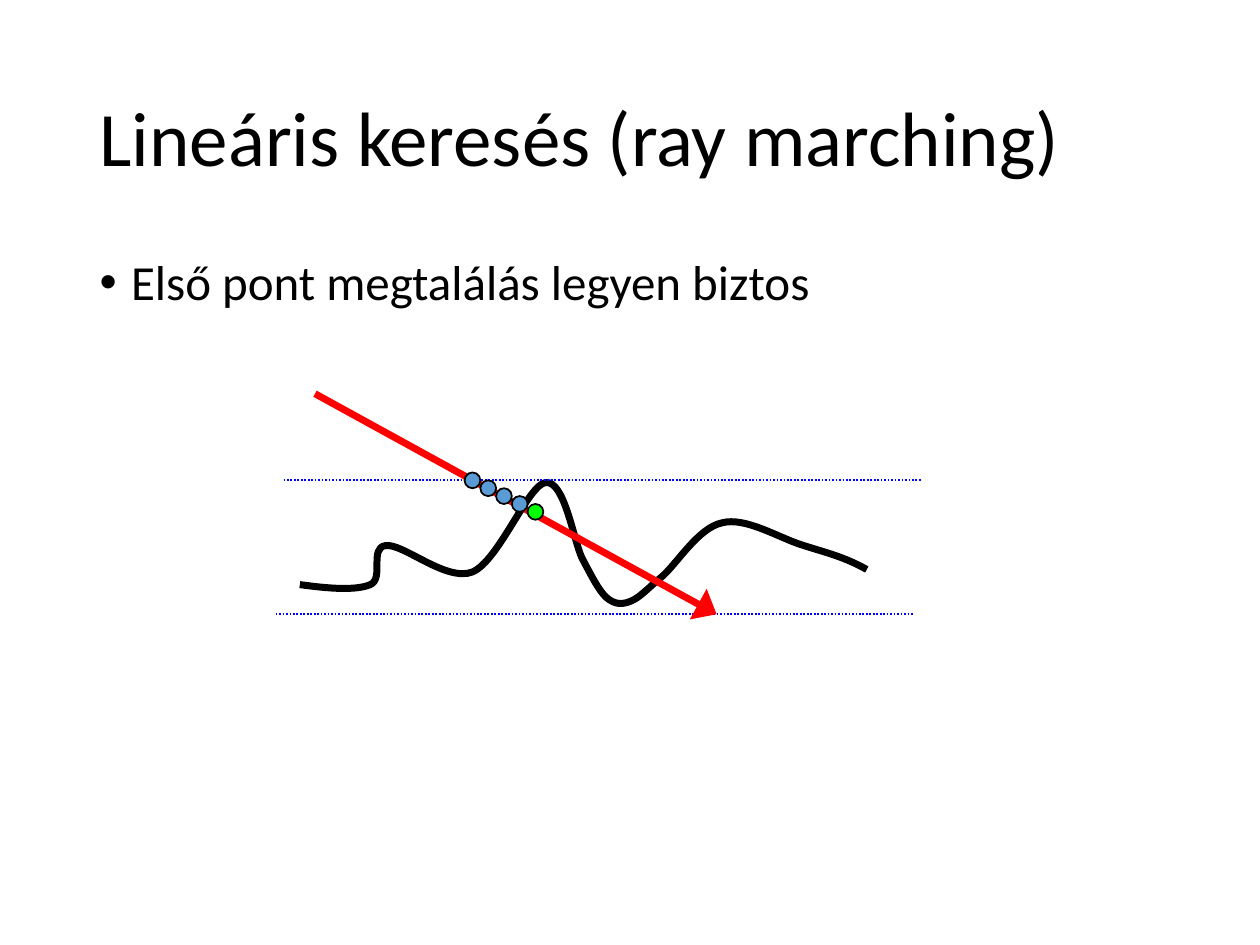
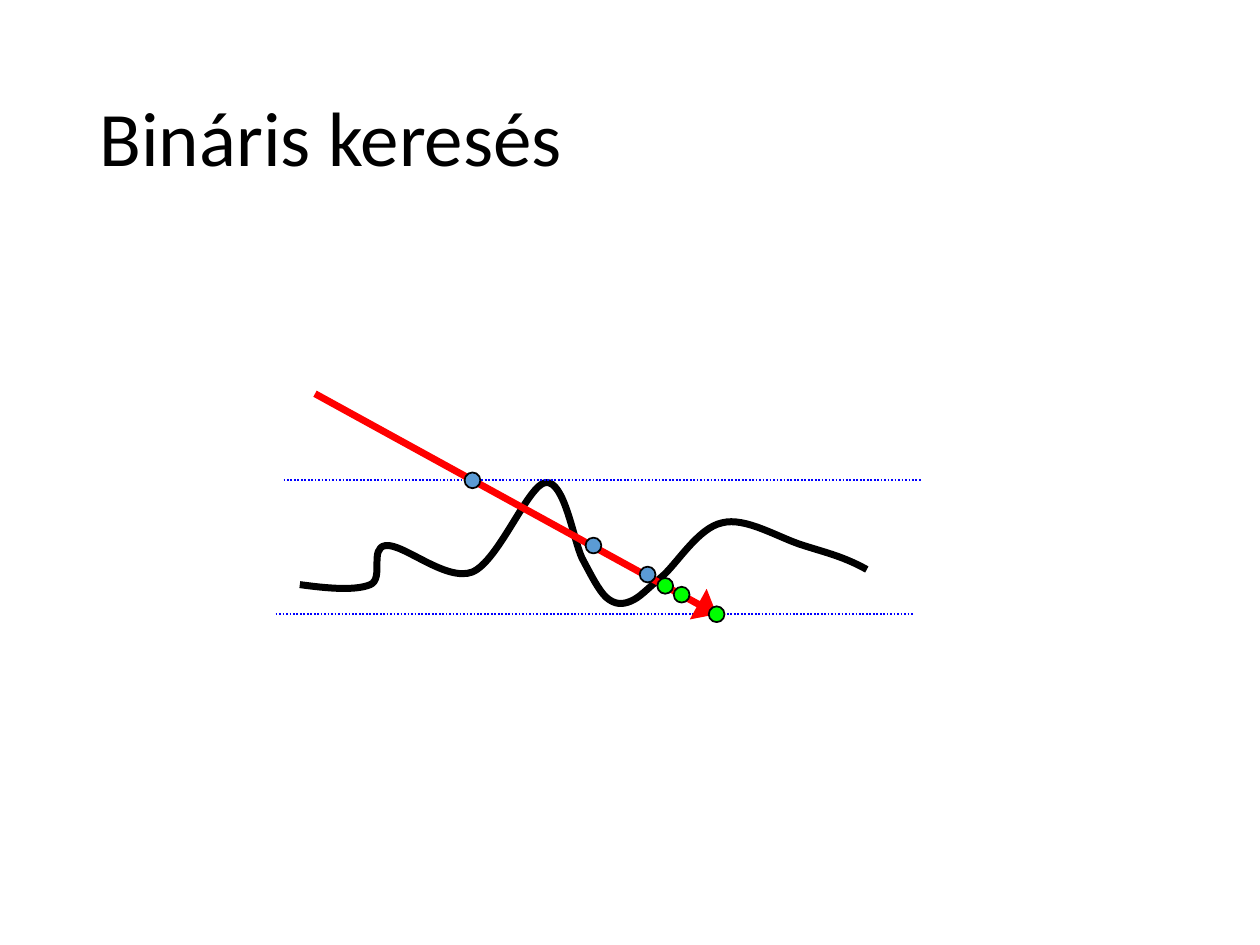
from typing import NamedTuple

from lxml import etree
from pptx import Presentation
from pptx.dml.color import RGBColor
from pptx.enum.dml import MSO_LINE
from pptx.enum.shapes import MSO_CONNECTOR, MSO_SHAPE
from pptx.enum.text import MSO_ANCHOR, MSO_AUTO_SIZE, PP_ALIGN
from pptx.oxml.ns import qn
from pptx.util import Inches, Pt

OVAL = MSO_SHAPE.OVAL
STRAIGHT = MSO_CONNECTOR.STRAIGHT
DOTTED = MSO_LINE.ROUND_DOT
LEFT = PP_ALIGN.LEFT
TOP, MIDDLE = MSO_ANCHOR.TOP, MSO_ANCHOR.MIDDLE
NO_FIT = MSO_AUTO_SIZE.NONE

FONT = "Calibri"
BLACK, RED, BLUE = "000000", "FF0000", "0000FF"
ABOVE, BELOW = "5B9BD5", "00FF00"
UNIT = 1 / 16
SIZE = 2 * UNIT

START = (2.38, 4.64)
CURVES = [
    ((2.6, 4.67), (2.82, 4.69), (2.94, 4.64)),
    ((3.05, 4.59), (2.93, 4.35), (3.06, 4.33)),
    ((3.2, 4.31), (3.54, 4.62), (3.75, 4.54)),
    ((3.96, 4.45), (4.19, 3.85), (4.33, 3.83)),
    ((4.48, 3.81), (4.55, 4.28), (4.62, 4.43)),
    ((4.7, 4.58), (4.75, 4.68), (4.81, 4.74)),
    ((4.88, 4.8), (4.94, 4.8), (5.01, 4.77)),
    ((5.08, 4.74), (5.13, 4.68), (5.25, 4.58)),
    ((5.37, 4.48), (5.54, 4.19), (5.73, 4.15)),
    ((5.92, 4.1), (6.18, 4.27), (6.38, 4.33)),
    ((6.57, 4.39), (6.7, 4.42), (6.88, 4.52)),
]


class Box(NamedTuple):
    """Place of a text frame in inches."""
    left: float
    top: float
    width: float
    height: float


class Line(NamedTuple):
    """Straight line between two points in grid units."""
    start: tuple[int, int]
    end: tuple[int, int]
    color: str
    width: float
    dotted: bool = False
    arrow: bool = False


class Dot(NamedTuple):
    """Sample on the ray, given by its centre in inches."""
    x: float
    y: float
    color: str


TITLE_BOX = Box(0.69, 0.4, 8.62, 1.45)
BODY_BOX = Box(0.69, 2, 8.62, 5.43)
ENTRY, EXIT = (60, 61), (91, 78)
LINES = [
    Line((36, 61), (117, 61), BLUE, 1, dotted=True),
    Line((35, 78), (116, 78), BLUE, 1, dotted=True),
    Line((40, 50), EXIT, RED, 4, arrow=True),
]
MARCH = [Dot((ENTRY[0] + 2 * i) * UNIT, (ENTRY[1] + i) * UNIT,
             BELOW if i == 4 else ABOVE) for i in range(5)]
HALVES = [
    Dot(EXIT[0] * UNIT, EXIT[1] * UNIT, BELOW),
    Dot(ENTRY[0] * UNIT, ENTRY[1] * UNIT, ABOVE),
    Dot(4.71, 4.33, ABOVE),
    Dot(5.14, 4.56, ABOVE),
    Dot(5.41, 4.72, BELOW),
    Dot(5.28, 4.65, BELOW),
]


def rgb(color: str) -> RGBColor:
    """Turn a hex string into a colour."""
    return RGBColor.from_string(color)


def set_line(line, color: str, width: float) -> None:
    """Set colour and width of an outline."""
    line.color.rgb = rgb(color)
    line.width = Pt(width)


def fill_text(holder, text: str, box: Box, size: float, anchor):
    """Move a placeholder, write its text and return the paragraph."""
    holder.left, holder.top, holder.width, holder.height = map(Inches, box)
    frame = holder.text_frame
    frame.text = text
    frame.auto_size = NO_FIT
    frame.vertical_anchor = anchor
    para = frame.paragraphs[0]
    para.alignment = LEFT
    para.line_spacing = 0.9
    para.space_before = Pt(0)
    font = para.runs[0].font
    font.name, font.size = FONT, Pt(size)
    font.color.rgb = rgb(BLACK)
    return para


def add_list(holder, text: str) -> None:
    """Write one bulleted line into the body."""
    para = fill_text(holder, text, BODY_BOX, 28, TOP)
    props = para._p.get_or_add_pPr()
    props.set("marL", str(Inches(0.25)))
    props.set("indent", str(-Inches(0.25)))
    etree.SubElement(props, qn("a:buChar")).set("char", "•")


def bend(shape) -> None:
    """Join each three line segments of a freeform into a cubic curve."""
    legs = list(shape._element.iter(qn("a:lnTo")))
    for i in range(0, len(legs), 3):
        curve = etree.Element(qn("a:cubicBezTo"))
        legs[i].addprevious(curve)
        for leg in legs[i:i + 3]:
            curve.append(leg[0])
            leg.getparent().remove(leg)


def add_field(slide) -> None:
    """Draw the height field."""
    path = slide.shapes.build_freeform(*map(Inches, START))
    points = [tuple(map(Inches, point)) for curve in CURVES for point in curve]
    path.add_line_segments(points, close=False)
    shape = path.convert_to_shape()
    bend(shape)
    shape.shadow.inherit = False
    shape.fill.background()
    set_line(shape.line, BLACK, 4)


def add_line(slide, line: Line) -> None:
    """Draw a limit line or the ray."""
    ends = [Inches(value * UNIT) for value in line.start + line.end]
    link = slide.shapes.add_connector(STRAIGHT, *ends)
    set_line(link.line, line.color, line.width)
    if line.dotted:
        link.line.dash_style = DOTTED
    if line.arrow:
        tail = etree.SubElement(link.line._get_or_add_ln(), qn("a:tailEnd"))
        tail.set("type", "triangle")
        tail.set("w", "lg")
    etree.SubElement(link._element.spPr, qn("a:effectLst"))


def add_dot(slide, dot: Dot) -> None:
    """Draw a sample dot."""
    shape = slide.shapes.add_shape(
        OVAL, Inches(dot.x - SIZE / 2), Inches(dot.y - SIZE / 2),
        Inches(SIZE), Inches(SIZE))
    shape.shadow.inherit = False
    shape.fill.solid()
    shape.fill.fore_color.rgb = rgb(dot.color)
    set_line(shape.line, BLACK, 1)


def add_slide(deck, title: str, dots: list[Dot], body: str = "") -> None:
    """Add a search slide with its title, list and drawing."""
    slide = deck.slides.add_slide(deck.slide_layouts[1 if body else 5])
    fill_text(slide.shapes.title, title, TITLE_BOX, 44, MIDDLE)
    if body:
        add_list(slide.placeholders[1], body)
    add_field(slide)
    for line in LINES:
        add_line(slide, line)
    for dot in dots:
        add_dot(slide, dot)


def main() -> None:
    """Build and save the deck."""
    deck = Presentation()
    deck.slide_width, deck.slide_height = Inches(10), Inches(7.5)
    add_slide(deck, "Lineáris keresés (ray marching)", MARCH,
              "Első pont megtalálás legyen biztos")
    add_slide(deck, "Bináris keresés", HALVES)
    deck.save("out.pptx")


if __name__ == "__main__":
    main()
